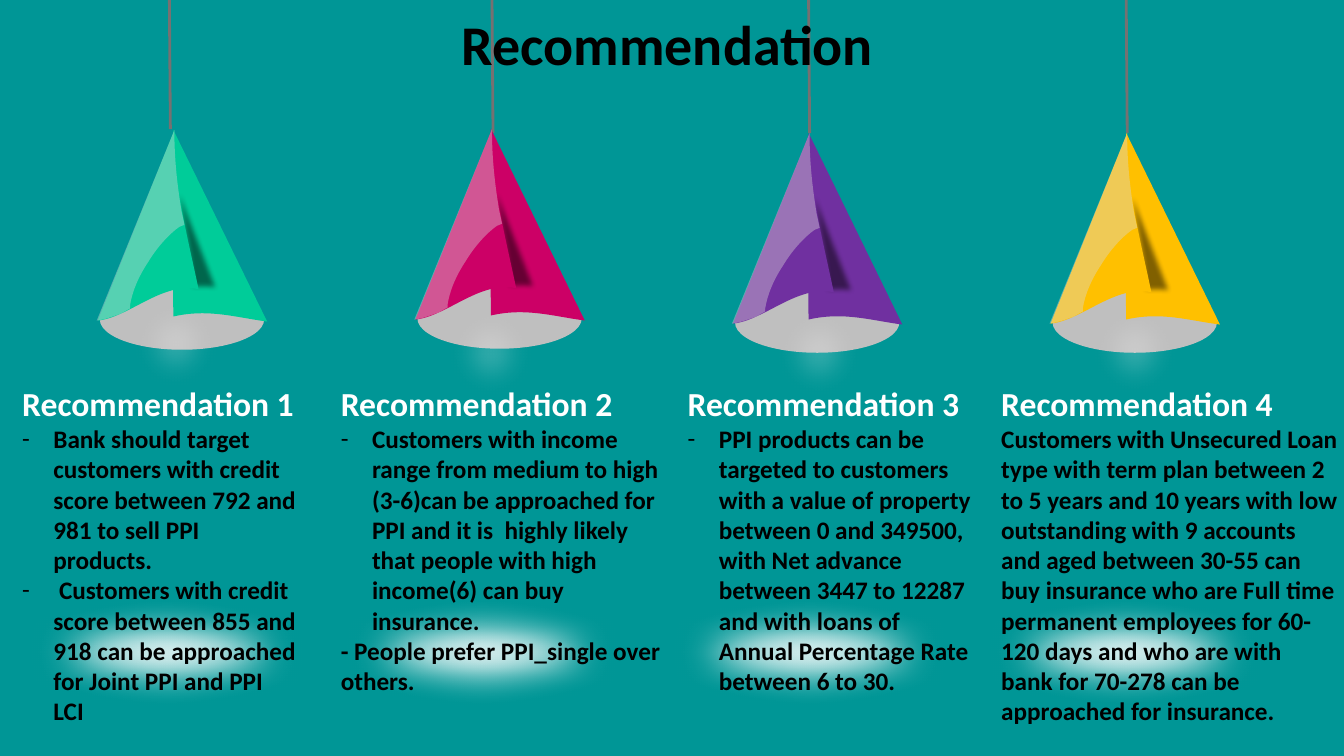
"""Build a slide of four recommendations under four hanging lamps."""
import dataclasses
import typing

import lxml.etree
import pptx
import pptx.dml.color
import pptx.enum.shapes
import pptx.enum.text
import pptx.oxml.ns
import pptx.util

SCALE = 9144
PITCH = 315

Point = tuple[int, int]
Curve = list[list[Point]]


@dataclasses.dataclass(frozen=True)
class Theme:
    font: str = "Calibri"
    back: str = "009696"
    ink: str = "000000"
    white: str = "FFFFFF"
    cord: str = "767171"
    base: str = "BFBFBF"
    gloss: str = "D9D9D9"
    title: int = 40
    head: int = 24
    body: int = 18
    wire: int = 2


@dataclasses.dataclass(frozen=True)
class Box:
    left: int
    top: int
    width: int
    height: int


@dataclasses.dataclass(frozen=True)
class Lamp:
    color: str
    top: int
    cord: Point
    glow: Point


@dataclasses.dataclass(frozen=True)
class Line:
    text: str
    dash: bool = False


@dataclasses.dataclass(frozen=True)
class Panel:
    box: Box
    lines: tuple[Line, ...]


THEME = Theme()

LAMPS = (
    Lamp("00CC99", 129, (169, 128), (120, 282)),
    Lamp("CC0066", 128, (489, 132), (432, 291)),
    Lamp("7030A0", 132, (803, 132), (757, 291)),
    Lamp("FFC000", 132, (1118, 132), (1071, 289)),
)

RIGHT: Curve = [[(75, 185)], [(74, 126), (75, 59), (75, 0)], [(168, 190)],
                [(137, 186), (110, 177), (75, 185)]]
SHADE: Curve = [[(89, 162)], [(89, 126), (69, 49), (69, 13)], [(127, 164)],
                [(115, 162), (104, 157), (89, 162)]]
LEFT: Curve = [[(100, 158)], [(88, 101), (76, 59), (76, 0)], [(0, 189)],
               [(31, 186), (64, 150), (100, 158)]]
GLOSS: Curve = [[(76, 0)], [(76, 30), (79, 55), (83, 80)], [(86, 94)], [(81, 96)],
                [(71, 103), (59, 116), (50, 131)], [(40, 146), (34, 161), (32, 174)],
                [(32, 177)], [(23, 182)], [(15, 185), (7, 188), (-1, 189)], [(76, 0)]]

PANELS = (
    Panel(Box(12, 375, 292, 353), (
        Line("Bank should target customers with credit score between 792 and 981 to sell PPI products.", True),
        Line(" Customers with credit score between 855 and 918 can be approached for Joint PPI and PPI LCI", True))),
    Panel(Box(328, 375, 342, 323), (
        Line("Customers with income range from medium to high (3-6)can be approached for PPI and it is  highly "
             "likely that people with high income(6) can buy insurance.", True),
        Line("- People prefer PPI_single over others."))),
    Panel(Box(672, 375, 306, 384), (
        Line("PPI products can be targeted to customers with a value of property between 0 and 349500, with Net "
             "advance between 3447 to 12287 and with loans of Annual Percentage Rate between 6 to 30.", True),)),
    Panel(Box(983, 375, 354, 384), (
        Line("Customers with Unsecured Loan type with term plan between 2 to 5 years and 10 years with low "
             "outstanding with 9 accounts and aged between 30-55 can buy insurance who are Full time permanent "
             "employees for 60-120 days and who are with bank for 70-278 can be approached for insurance."),)),
)


def px(size: int) -> int:
    return size * SCALE


def rgb(color: str) -> pptx.dml.color.RGBColor:
    return pptx.dml.color.RGBColor.from_string(color)


def add(parent: typing.Any, tag: str, **values: str) -> typing.Any:
    return lxml.etree.SubElement(parent, pptx.oxml.ns.qn(tag), **values)


def paint(shape: typing.Any, color: str, alpha: int = 100, soft: int = 0) -> None:
    shape.shadow.inherit = False
    shape.fill.solid()
    shape.fill.fore_color.rgb = rgb(color)
    shape.line.fill.background()
    props = shape._element.spPr
    if alpha < 100:
        add(props.find(".//" + pptx.oxml.ns.qn("a:srgbClr")), "a:alpha", val=str(alpha * 1000))
    if soft:
        add(props.find(pptx.oxml.ns.qn("a:effectLst")), "a:softEdge", rad=str(pptx.util.Pt(soft)))


def oval(slide: typing.Any, box: Box, color: str, alpha: int = 100, soft: int = 0) -> None:
    kind = pptx.enum.shapes.MSO_SHAPE.OVAL
    shape = slide.shapes.add_shape(kind, px(box.left), px(box.top), px(box.width), px(box.height))
    paint(shape, color, alpha, soft)


def form(slide: typing.Any, curve: Curve, left: int, top: int,
         color: str, alpha: int = 100, soft: int = 0) -> None:
    spots = [[(px(left + x), px(top + y)) for x, y in part] for part in curve]
    ends = [part[-1] for part in spots]
    maker = slide.shapes.build_freeform(*ends[0], scale=1.0)
    maker.add_line_segments(ends[1:], close=True)
    shape = maker.convert_to_shape()
    lines = shape._element.spPr.findall(".//" + pptx.oxml.ns.qn("a:lnTo"))
    for line, part in zip(lines, spots[1:]):
        if len(part) == 3:
            line.tag = pptx.oxml.ns.qn("a:cubicBezTo")
            line.remove(line[0])
            for x, y in part:
                add(line, "a:pt", x=str(x - shape.left), y=str(y - shape.top))
    paint(shape, color, alpha, soft)


def hang(slide: typing.Any, lamp: Lamp, left: int) -> None:
    x, y = lamp.cord
    kind = pptx.enum.shapes.MSO_CONNECTOR.STRAIGHT
    cord = slide.shapes.add_connector(kind, px(x), px(y), px(x - 1), 0)
    cord.line.color.rgb = rgb(THEME.cord)
    cord.line.width = pptx.util.Pt(THEME.wire)
    add(cord._element.spPr, "a:effectLst")
    x, y = lamp.glow
    oval(slide, Box(left + 2, lamp.top + 158, 163, 60), THEME.base)
    oval(slide, Box(x, y, 110, 117), THEME.white, 25, 20)
    form(slide, RIGHT, left, lamp.top, lamp.color)
    form(slide, SHADE, left, lamp.top, THEME.ink, 50, 4)
    form(slide, LEFT, left, lamp.top, lamp.color)
    form(slide, GLOSS, left, lamp.top, THEME.gloss, 40)
    oval(slide, Box(x - 131, 591, 354, 112), THEME.white, 100, 25)


def place(slide: typing.Any, holder: typing.Any, box: Box) -> typing.Any:
    holder.left, holder.top = px(box.left), px(box.top)
    holder.width, holder.height = px(box.width), px(box.height)
    slide.shapes._spTree.append(holder._element)
    frame = holder.text_frame
    frame.word_wrap = True
    frame.auto_size = pptx.enum.text.MSO_AUTO_SIZE.NONE
    frame.vertical_anchor = pptx.enum.text.MSO_ANCHOR.TOP
    return frame


def write(para: typing.Any, text: str, size: int, color: str, dash: bool = False) -> None:
    para.alignment = pptx.enum.text.PP_ALIGN.LEFT
    para.space_before = pptx.util.Pt(0)
    props = para._p.get_or_add_pPr()
    props.set("marL", str(px(31 * dash)))
    props.set("indent", str(px(-31 * dash)))
    if dash:
        add(props, "a:buFont", typeface=THEME.font)
        add(props, "a:buChar", char="-")
    else:
        add(props, "a:buNone")
    run = para.add_run()
    run.text = text
    run.font.name = THEME.font
    run.font.size = pptx.util.Pt(size)
    run.font.bold = True
    run.font.color.rgb = rgb(color)


def main() -> None:
    deck = pptx.Presentation()
    deck.slide_width, deck.slide_height = px(1333), px(750)
    slide = deck.slides.add_slide(deck.slide_layouts[4])
    slide.background.fill.solid()
    slide.background.fill.fore_color.rgb = rgb(THEME.back)
    title, *holders = list(slide.placeholders)
    for rank, lamp in enumerate(LAMPS):
        hang(slide, lamp, 97 + PITCH * rank)
    frame = place(slide, title, Box(448, 4, 495, 77))
    write(frame.paragraphs[0], "Recommendation", THEME.title, THEME.ink)
    for rank, (panel, holder) in enumerate(zip(PANELS, holders), 1):
        frame = place(slide, holder, panel.box)
        write(frame.paragraphs[0], f"Recommendation {rank}", THEME.head, THEME.white)
        for line in panel.lines:
            write(frame.add_paragraph(), line.text, THEME.body, THEME.ink, line.dash)
    deck.save("out.pptx")


if __name__ == "__main__":
    main()
